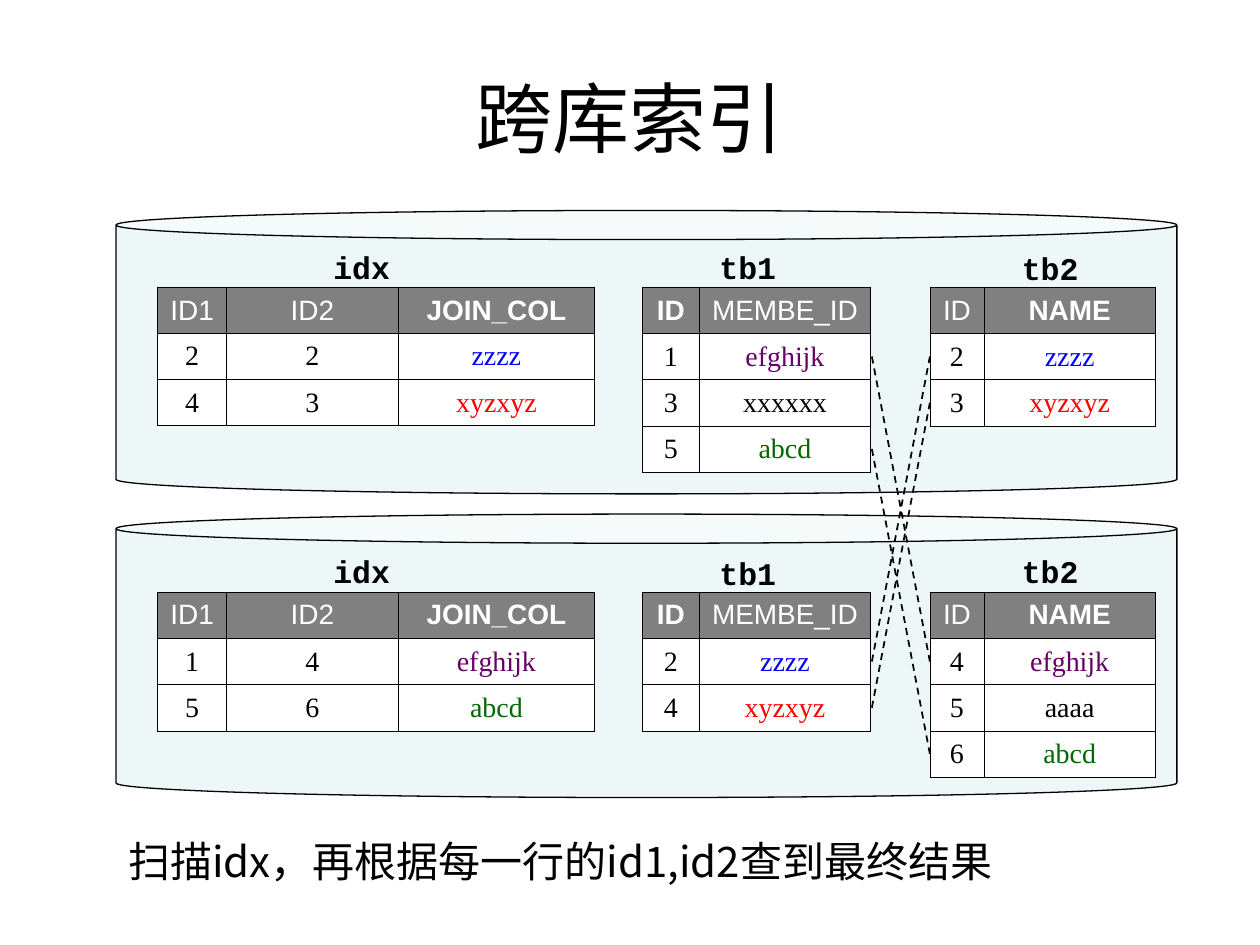
"""Build the cross-database index slide."""
from lxml import etree
from pptx import Presentation
from pptx.dml.color import RGBColor
from pptx.enum.dml import MSO_LINE
from pptx.enum.shapes import MSO_CONNECTOR, MSO_SHAPE
from pptx.enum.text import MSO_ANCHOR, MSO_AUTO_SIZE, PP_ALIGN
from pptx.oxml import parse_xml
from pptx.oxml.ns import qn
from pptx.util import Inches, Pt

CAN, LINE, DASH = MSO_SHAPE.CAN, MSO_CONNECTOR.STRAIGHT, MSO_LINE.DASH
LEFT, CENTER = PP_ALIGN.LEFT, PP_ALIGN.CENTER
MIDDLE, GROW = MSO_ANCHOR.MIDDLE, MSO_AUTO_SIZE.SHAPE_TO_FIT_TEXT
NS = "http://schemas.openxmlformats.org/drawingml/2006/main"
CJK = "Noto Sans CJK SC"
BLACK, WHITE, GRAY = "000000", "FFFFFF", "808080"
VALUE_COLORS = {"zzzz": "0000FF", "xyzxyz": "FF0000", "efghijk": "660066", "abcd": "006600"}
ROW_H = 1.1 / 3


def rgb(color):
    return RGBColor.from_string(color)


def write(tf, text, size=16, font="Arial", color=BLACK, bold=False, align=CENTER, before=0):
    tf.word_wrap = True
    p = tf.paragraphs[0]
    p.alignment, p.space_before = align, Pt(before)
    r = p.add_run()
    r.text = text
    r.font.size, r.font.name, r.font.bold = Pt(size), font, bold
    r.font.color.rgb = rgb(color)
    etree.SubElement(r.font._element, qn("a:ea"), typeface=font)


prs = Presentation()
prs.slide_width, prs.slide_height = Inches(10), Inches(7.5)
s = prs.slides.add_slide(prs.slide_layouts[5])

title = s.shapes.title
title.left, title.top, title.width, title.height = Inches(0.5), Inches(0.3), Inches(9), Inches(1.25)
title.text_frame.vertical_anchor = MIDDLE
write(title.text_frame, "跨库索引", size=44, font=CJK)

for y in (4.08, 1.67):
    sp = s.shapes.add_shape(CAN, Inches(0.92), Inches(y), Inches(8.42), Inches(2.25))
    sp.adjustments[0] = 0.103
    sp.shadow.inherit = False
    sp.fill.solid()
    sp.fill.fore_color.rgb = rgb("BBE0E3")
    fill_color = sp._element.spPr.find(qn("a:solidFill"))[0]
    etree.SubElement(fill_color, qn("a:alpha"), val="24000")
    sp.line.color.rgb = rgb(BLACK)
    sp.line.width = Pt(0.75)

layouts = {
    "idx": (1.25, (0.55, 1.36, 1.56), ("ID1", "ID2", "JOIN_COL"), "JOIN_COL", 2.08, 1.58),
    "tb1": (5.1, (0.45, 1.36), ("ID", "MEMBE_ID"), "ID", 5.52, 0.83),
    "tb2": (7.38, (0.43, 1.36), ("ID", "NAME"), "NAME", 7.92, 0.83),
}
tables = [
    ("idx", 2.28, 1.92, [("2", "2", "zzzz"), ("4", "3", "xyzxyz")]),
    ("tb1", 2.28, 1.92, [("1", "efghijk"), ("3", "xxxxxx"), ("5", "abcd")]),
    ("tb2", 2.28, 1.93, [("2", "zzzz"), ("3", "xyzxyz")]),
    ("idx", 4.7, 4.33, [("1", "4", "efghijk"), ("5", "6", "abcd")]),
    ("tb1", 4.7, 4.35, [("2", "zzzz"), ("4", "xyzxyz")]),
    ("tb2", 4.7, 4.33, [("4", "efghijk"), ("5", "aaaa"), ("6", "abcd")]),
]
for name, top, label_top, rows in tables:
    left, widths, header, bold_head, label_left, label_w = layouts[name]
    data = [header] + rows
    table = s.shapes.add_table(len(data), len(widths), Inches(left), Inches(top),
                               Inches(sum(widths)), Inches(ROW_H * len(data))).table
    table.first_row = table.horz_banding = False
    for col, width in zip(table.columns, widths):
        col.width = Inches(width)
    for i, values in enumerate(data):
        table.rows[i].height = Inches(ROW_H)
        for j, value in enumerate(values):
            cell = table.cell(i, j)
            cell.vertical_anchor = MIDDLE
            for side in "LRTB":
                cell._tc.get_or_add_tcPr().append(parse_xml(
                    f'<a:ln{side} xmlns:a="{NS}" w="{Pt(0.45)}"><a:solidFill>'
                    f'<a:srgbClr val="{BLACK}"/></a:solidFill></a:ln{side}>'))
            cell.fill.solid()
            cell.fill.fore_color.rgb = rgb(WHITE if i else GRAY)
            if i:
                write(cell.text_frame, value, font="Times New Roman",
                      color=VALUE_COLORS.get(value, BLACK), before=4)
            else:
                write(cell.text_frame, value, color=WHITE, bold=value == bold_head, before=4)
    tf = s.shapes.add_textbox(Inches(label_left), Inches(label_top),
                              Inches(label_w), Inches(0.4)).text_frame
    tf.auto_size = GROW
    write(tf, name, size=18, font="Courier New", bold=True, before=11.2)

for top1, row1, top2, row2 in [(2.28, 1, 4.7, 1), (2.28, 3, 4.7, 3),
                               (4.7, 1, 2.28, 1), (4.7, 2, 2.28, 2)]:
    link = s.shapes.add_connector(LINE, Inches(6.92), Inches(top1 + (row1 + 0.5) * ROW_H),
                                  Inches(7.38), Inches(top2 + (row2 + 0.5) * ROW_H))
    link.line.color.rgb = rgb(BLACK)
    link.line.width = Pt(1)
    link.line.dash_style = DASH
    etree.SubElement(link._element.spPr, qn("a:effectLst"))

tf = s.shapes.add_textbox(Inches(0.92), Inches(6.58), Inches(7.67), Inches(0.5)).text_frame
tf.auto_size = GROW
write(tf, "扫描idx，再根据每一行的id1,id2查到最终结果", size=24, font=CJK, align=LEFT, before=15)

prs.save("out.pptx")
